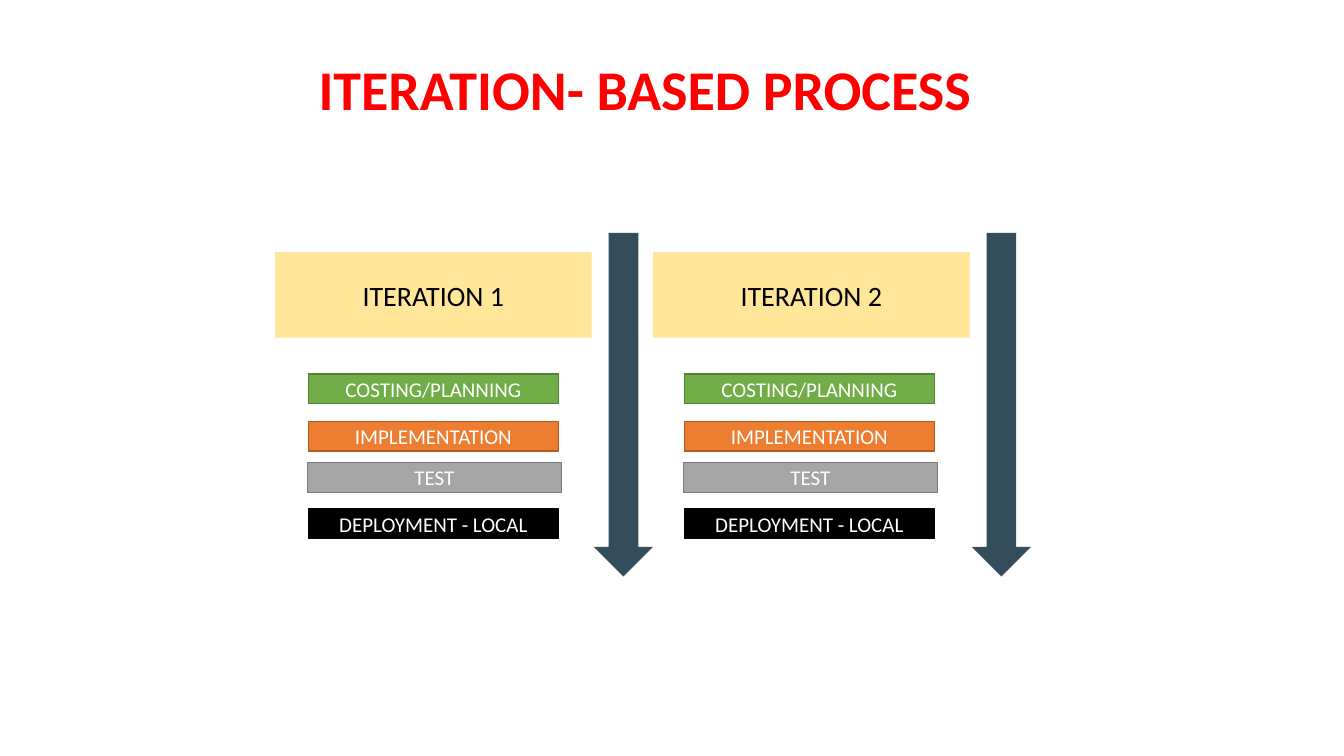
from pptx import Presentation
from pptx.dml.color import RGBColor
from pptx.enum.shapes import MSO_SHAPE
from pptx.enum.text import MSO_ANCHOR, PP_ALIGN
from pptx.util import Inches, Pt

RECT, ARROW = MSO_SHAPE.RECTANGLE, MSO_SHAPE.DOWN_ARROW
MIDDLE, CENTER, LEFT = MSO_ANCHOR.MIDDLE, PP_ALIGN.CENTER, PP_ALIGN.LEFT

FONT = "Calibri"
RED = RGBColor(0xFF, 0x00, 0x00)
BLACK = RGBColor(0x00, 0x00, 0x00)
WHITE = RGBColor(0xFF, 0xFF, 0xFF)
CREAM = RGBColor(0xFF, 0xE6, 0x99)
SLATE = RGBColor(0x33, 0x4D, 0x5C)
GREEN, MOSS = RGBColor(0x70, 0xAD, 0x47), RGBColor(0x53, 0x80, 0x35)
ORANGE, RUST = RGBColor(0xED, 0x7D, 0x31), RGBColor(0xAF, 0x5C, 0x24)
GREY, ASH = RGBColor(0xA5, 0xA5, 0xA5), RGBColor(0x7A, 0x7A, 0x7A)

WIDTH, HEIGHT = Inches(13.33), Inches(7.5)
COL, ROW = WIDTH / 40, HEIGHT / 30

TITLE = "ITERATION- BASED PROCESS"
PITCH = 11.25
PHASES = [("ITERATION 1", 0.99), ("ITERATION 2", 0.93)]
STEPS = [
    ("COSTING/PLANNING", 5.6, 0, GREEN, MOSS),
    ("IMPLEMENTATION", 7.48, 0, ORANGE, RUST),
    ("TEST", 9.12, 0.03, GREY, ASH),
    ("DEPLOYMENT - LOCAL", 10.96, 0, BLACK, BLACK),
]


def grid(left, top, width, height):
    """Turn grid columns and rows into slide lengths."""
    return round(left * COL), round(top * ROW), round(width * COL), round(height * ROW)


def style(frame, text, size, color, align, bold=False):
    """Write one line of text with its font and alignment."""
    frame.text = text
    frame.vertical_anchor = MIDDLE
    para = frame.paragraphs[0]
    para.alignment = align
    font = para.runs[0].font
    font.name, font.size, font.bold = FONT, Pt(size), bold
    font.color.rgb = color


def block(slide, kind, box, fill, line=None):
    """Draw a flat shape, outlined if a line colour is given."""
    shape = slide.shapes.add_shape(kind, *grid(*box))
    shape.shadow.inherit = False
    shape.fill.solid()
    shape.fill.fore_color.rgb = fill
    if line is None:
        shape.line.fill.background()
    else:
        shape.line.color.rgb = line
        shape.line.width = Pt(1)
    frame = shape.text_frame
    frame.margin_top = frame.margin_bottom = 0
    return shape


def heading(slide, box):
    """Place the slide title."""
    title = slide.shapes.title
    title.left, title.top, title.width, title.height = grid(*box)
    style(title.text_frame, TITLE, 40, RED, LEFT, True)


def phase(slide, box, name, inset):
    """Draw one iteration: its header, arrow and steps."""
    left, top, width, height = box
    head = block(slide, RECT, (left, top + 0.76, 9.42, 3.4), CREAM)
    style(head.text_frame, name, 20, BLACK, CENTER)
    shaft = 1.77
    block(slide, ARROW, (left + width - shaft, top, shaft, height), SLATE)
    for text, drop, extra, fill, line in STEPS:
        spot = (left + inset - extra, top + drop, 7.44 + 4 * extra, 1.18)
        step = block(slide, RECT, spot, fill, line)
        style(step.text_frame, text, 15, WHITE, CENTER)


def main():
    """Build the slide and save it."""
    deck = Presentation()
    deck.slide_width, deck.slide_height = WIDTH, HEIGHT
    slide = deck.slides.add_slide(deck.slide_layouts[5])
    heading(slide, (9.18, 1.96, 20.19, 3.08))
    for i, (name, inset) in enumerate(PHASES):
        phase(slide, (8.19 + i * PITCH, 9.24, PITCH, 13.64), name, inset)
    deck.save("out.pptx")


if __name__ == "__main__":
    main()
